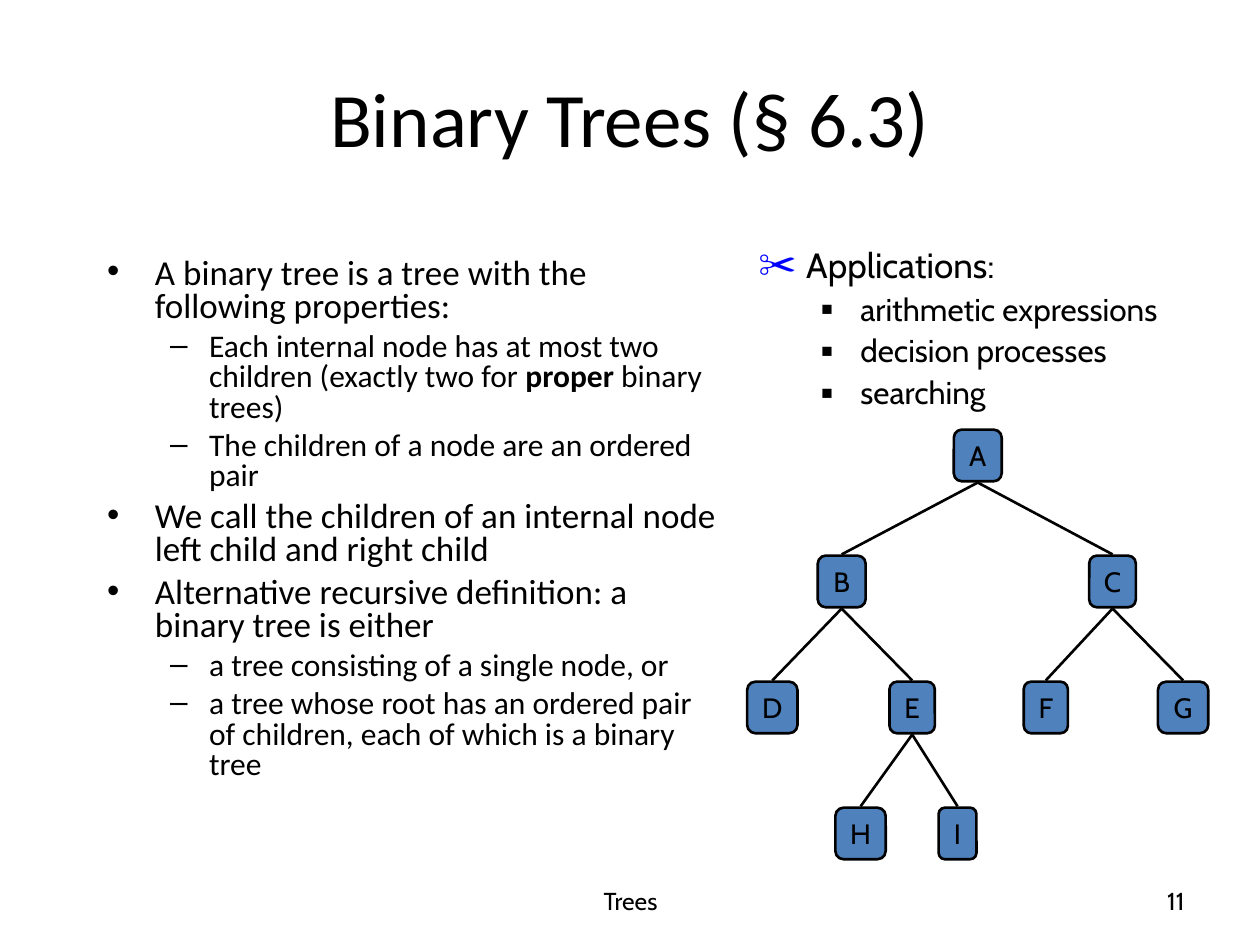
from dataclasses import dataclass

from lxml.etree import SubElement
from pptx import Presentation
from pptx.dml.color import RGBColor
from pptx.enum.shapes import MSO_CONNECTOR, MSO_SHAPE
from pptx.enum.text import MSO_ANCHOR, MSO_AUTO_SIZE, PP_ALIGN
from pptx.oxml.ns import qn
from pptx.util import Inches, Pt

BLACK = RGBColor(0x00, 0x00, 0x00)
BLUE = RGBColor(0x00, 0x00, 0xFF)
NODE_FILL = RGBColor(0x4F, 0x81, 0xBD)
NODE_HEIGHT = 0.41
FIRST_ROW, ROW_STEP = 3.41, 1.0
EDGE_GAP = 0.01


@dataclass(frozen=True)
class Bullet:
    char: str
    color: RGBColor = BLACK
    percent: int = 100


@dataclass(frozen=True)
class Item:
    level: int
    texts: tuple[str, ...]  # every second text is bold


@dataclass(frozen=True)
class Node:
    name: str
    center: float
    row: int
    width: float
    parent: str = ""

    @property
    def top(self) -> float:
        return FIRST_ROW + self.row * ROW_STEP


PROPERTIES = [
    Item(0, ("A binary tree is a tree with the following properties:",)),
    Item(1, ("Each internal node has at most two children (exactly two for ",
             "proper", " binary trees)")),
    Item(1, ("The children of a node are an ordered pair",)),
    Item(0, ("We call the children of an internal node left child and right child",)),
    Item(0, ("Alternative recursive definition: a binary tree is either",)),
    Item(1, ("a tree consisting of a single node, or",)),
    Item(1, ("a tree whose root has an ordered pair of children, "
             "each of which is a binary tree",)),
]
APPLICATIONS = [
    Item(0, ("Applications:",)),
    Item(1, ("arithmetic expressions",)),
    Item(1, ("decision processes",)),
    Item(1, ("searching",)),
]
NODES = [
    Node("A", 7.76, 0, 0.38),
    Node("B", 6.68, 1, 0.38, "A"),
    Node("C", 8.83, 1, 0.37, "A"),
    Node("D", 6.13, 2, 0.40, "B"),
    Node("E", 7.24, 2, 0.36, "B"),
    Node("F", 8.30, 2, 0.35, "C"),
    Node("G", 9.39, 2, 0.40, "C"),
    Node("H", 6.83, 3, 0.40, "E"),
    Node("I", 7.60, 3, 0.30, "E"),
]


def place(sp, left: float, top: float, width: float, height: float) -> None:
    sp.left, sp.top = Inches(left), Inches(top)
    sp.width, sp.height = Inches(width), Inches(height)


def add_run(p, text: str, size: float, font: str, bold: bool = False) -> None:
    r = p.add_run()
    r.text = text
    r.font.size = Pt(size)
    r.font.name = font
    r.font.bold = bold
    r.font.color.rgb = BLACK


def set_bullet(p, bullet: Bullet, margin: float, hanging: float) -> None:
    pPr = p._p.get_or_add_pPr()
    pPr.set("marL", str(Inches(margin)))
    pPr.set("indent", str(-Inches(hanging)))
    color = SubElement(pPr, qn("a:buClr"))
    SubElement(color, qn("a:srgbClr"), val=str(bullet.color))
    SubElement(pPr, qn("a:buSzPct"), val=str(bullet.percent * 1000))
    SubElement(pPr, qn("a:buFont"), typeface="Arial")
    SubElement(pPr, qn("a:buChar"), char=bullet.char)


def fill_list(tf, items: list[Item], bullets: tuple[Bullet, Bullet],
              font: str, line_spacing: float) -> None:
    tf.word_wrap = True
    tf.auto_size = MSO_AUTO_SIZE.NONE
    for i, item in enumerate(items):
        p = tf.add_paragraph() if i else tf.paragraphs[0]
        p.level = item.level
        margin, hanging, size = ((0.38, 0.38, 20), (0.81, 0.31, 18))[item.level]
        set_bullet(p, bullets[item.level], margin, hanging)
        p.line_spacing = line_spacing
        p.space_before = Pt(size / 4 if i else 0)
        for k, text in enumerate(item.texts):
            add_run(p, text, size, font, bold=k % 2 == 1)


def add_footer(s, text: str, left: float, width: float, align: PP_ALIGN) -> None:
    tf = s.shapes.add_textbox(Inches(left), Inches(6.95), Inches(width), Inches(0.4)).text_frame
    tf.word_wrap = True
    tf.vertical_anchor = MSO_ANCHOR.MIDDLE
    p = tf.paragraphs[0]
    p.alignment = align
    add_run(p, text, 14, "Cabin")


def add_node(s, node: Node) -> None:
    sp = s.shapes.add_shape(
        MSO_SHAPE.ROUNDED_RECTANGLE, Inches(node.center - node.width / 2),
        Inches(node.top), Inches(node.width), Inches(NODE_HEIGHT))
    sp.shadow.inherit = False
    sp.fill.solid()
    sp.fill.fore_color.rgb = NODE_FILL
    sp.line.color.rgb = BLACK
    sp.line.width = Pt(1.5)
    tf = sp.text_frame
    tf.word_wrap = False
    tf.vertical_anchor = MSO_ANCHOR.MIDDLE
    p = tf.paragraphs[0]
    p.alignment = PP_ALIGN.CENTER
    add_run(p, node.name, 16, "Cabin")


def add_edge(s, parent: Node, child: Node) -> None:
    line = s.shapes.add_connector(
        MSO_CONNECTOR.STRAIGHT,
        Inches(parent.center), Inches(parent.top + NODE_HEIGHT + EDGE_GAP),
        Inches(child.center), Inches(child.top - EDGE_GAP))
    line.line.color.rgb = BLACK
    line.line.width = Pt(1.5)
    SubElement(line._element.spPr, qn("a:effectLst"))


def main() -> None:
    prs = Presentation()
    prs.slide_width, prs.slide_height = Inches(10), Inches(7.5)
    s = prs.slides.add_slide(prs.slide_layouts[1])

    title, body = s.placeholders
    place(title, 0.5, 0.3, 9, 1.25)
    title.text_frame.vertical_anchor = MSO_ANCHOR.MIDDLE
    p = title.text_frame.paragraphs[0]
    p.alignment = PP_ALIGN.CENTER
    add_run(p, "Binary Trees (§ 6.3)", 44, "Calibri")

    place(body, 0.75, 2, 5.08, 4.67)
    fill_list(body.text_frame, PROPERTIES, (Bullet("•"), Bullet("–")), "Calibri", 0.8)

    add_footer(s, "Trees", 3.42, 3.17, PP_ALIGN.CENTER)
    add_footer(s, "11", 7.17, 2.33, PP_ALIGN.RIGHT)

    applications = s.shapes.add_textbox(Inches(5.92), Inches(1.92), Inches(3.58), Inches(1.67))
    fill_list(applications.text_frame, APPLICATIONS,
              (Bullet("✂", BLUE, 110), Bullet("■", percent=60)), "Cabin", 0.9)

    by_name = {node.name: node for node in NODES}
    for node in NODES:
        add_node(s, node)
        if node.parent:
            add_edge(s, by_name[node.parent], node)

    prs.save("out.pptx")


if __name__ == "__main__":
    main()
